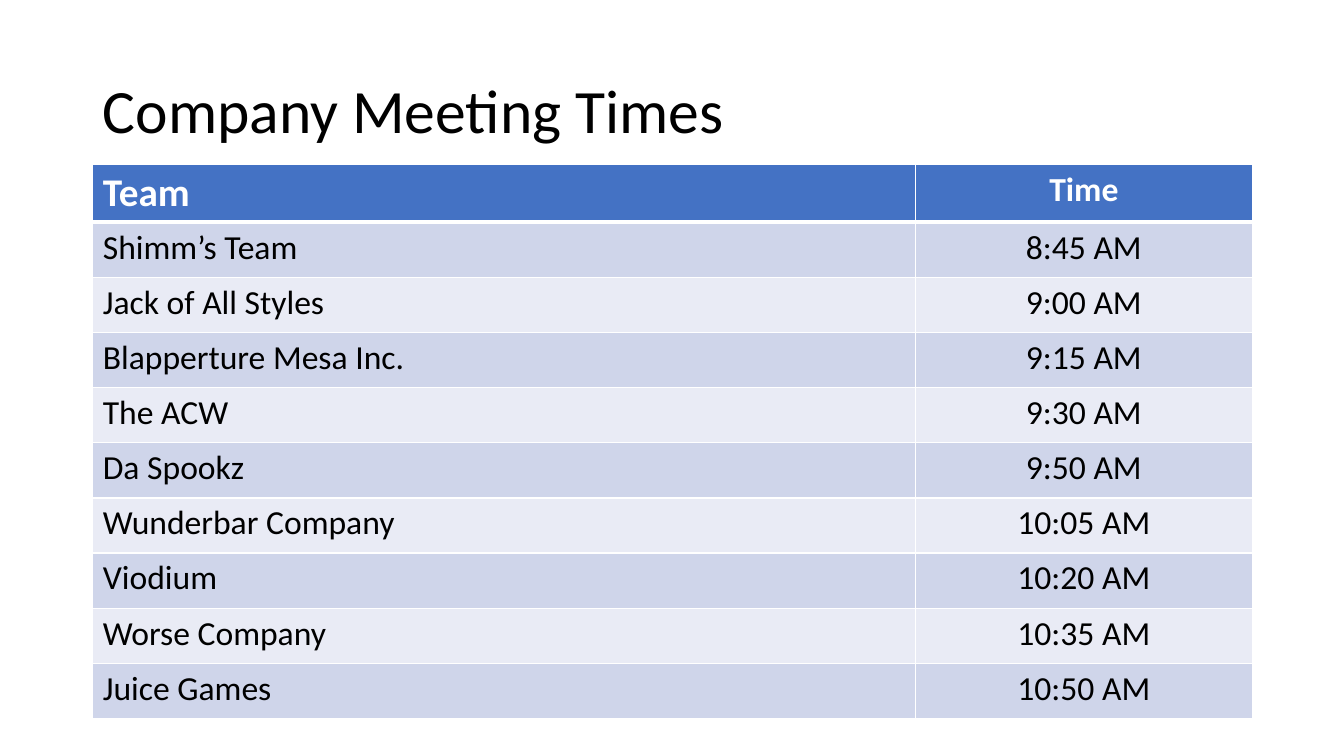
from dataclasses import dataclass

from lxml.etree import SubElement as Sub
from pptx import Presentation
from pptx.dml.color import RGBColor as Rgb
from pptx.enum.text import MSO_ANCHOR as Anchor, PP_ALIGN as Align
from pptx.oxml.ns import qn
from pptx.util import Inches, Pt


@dataclass(frozen=True)
class Theme:
    font: str = "Calibri"
    black: str = "000000"
    white: str = "FFFFFF"
    head: str = "4472C4"
    bands: tuple = ("CFD5EA", "E9EBF5")
    title: int = 44
    team: int = 28
    body: int = 24
    thin: int = 1
    thick: int = 3


THEME = Theme()

HEADS = ("Team", "Time")
TIMES = [
    ("Shimm’s Team", "8:45 AM"),
    ("Jack of All Styles", "9:00 AM"),
    ("Blapperture Mesa Inc.", "9:15 AM"),
    ("The ACW", "9:30 AM"),
    ("Da Spookz", "9:50 AM"),
    ("Wunderbar Company", "10:05 AM"),
    ("Viodium", "10:20 AM"),
    ("Worse Company", "10:35 AM"),
    ("Juice Games", "10:50 AM"),
]


def add_run(para, text, size, color, bold=False):
    run = para.add_run()
    run.text = text
    font = run.font
    font.name, font.size, font.bold = THEME.font, Pt(size), bold
    font.color.rgb = Rgb.from_string(color)


def add_edges(cell, top, bottom):
    props = cell._tc.get_or_add_tcPr()
    widths = {"L": THEME.thin, "R": THEME.thin, "T": top, "B": bottom}
    for side, width in widths.items():
        line = Sub(props, qn(f"a:ln{side}"), w=str(Pt(width)))
        fill = Sub(line, qn("a:solidFill"))
        Sub(fill, qn("a:srgbClr"), val=THEME.white)


def fill_cell(cell, text, row, col):
    head = row == 0
    # White rules, with a heavier one under the header
    add_edges(cell,
              THEME.thick if row == 1 else THEME.thin,
              THEME.thick if head else THEME.thin)
    shade = THEME.head if head else THEME.bands[(row - 1) % 2]
    cell.fill.solid()
    cell.fill.fore_color.rgb = Rgb.from_string(shade)
    # Text
    para = cell.text_frame.paragraphs[0]
    para.alignment = Align.CENTER if col else Align.LEFT
    size = THEME.team if head and col == 0 else THEME.body
    add_run(para, text, size, THEME.white if head else THEME.black, head)


def add_title(slide, text, left, top, width, height):
    title = slide.shapes.title
    title.left, title.top = Inches(left), Inches(top)
    title.width, title.height = Inches(width), Inches(height)
    frame = title.text_frame
    frame.word_wrap = True
    frame.vertical_anchor = Anchor.MIDDLE
    para = frame.paragraphs[0]
    para.alignment = Align.LEFT
    para.line_spacing = 0.9
    add_run(para, text, THEME.title, THEME.black)


def add_times(slide, rows, left, top, width, height):
    frame = slide.shapes.add_table(
        len(rows), len(HEADS),
        Inches(left), Inches(top), Inches(width), Inches(height))
    table = frame.table
    first = 8.16
    table.columns[0].width = Inches(first)
    table.columns[1].width = Inches(width - first)
    for row, texts in enumerate(rows):
        for col, text in enumerate(texts):
            fill_cell(table.cell(row, col), text, row, col)


def main():
    deck = Presentation()
    deck.slide_width, deck.slide_height = Inches(13.33), Inches(7.5)
    slide = deck.slides.add_slide(deck.slide_layouts[5])
    left, width = 0.92, 11.5
    add_title(slide, "Company Meeting Times", left, 0.4, width, 1.45)
    add_times(slide, [HEADS, *TIMES], left, 1.63, width, 5.47)
    deck.save("out.pptx")


if __name__ == "__main__":
    main()
